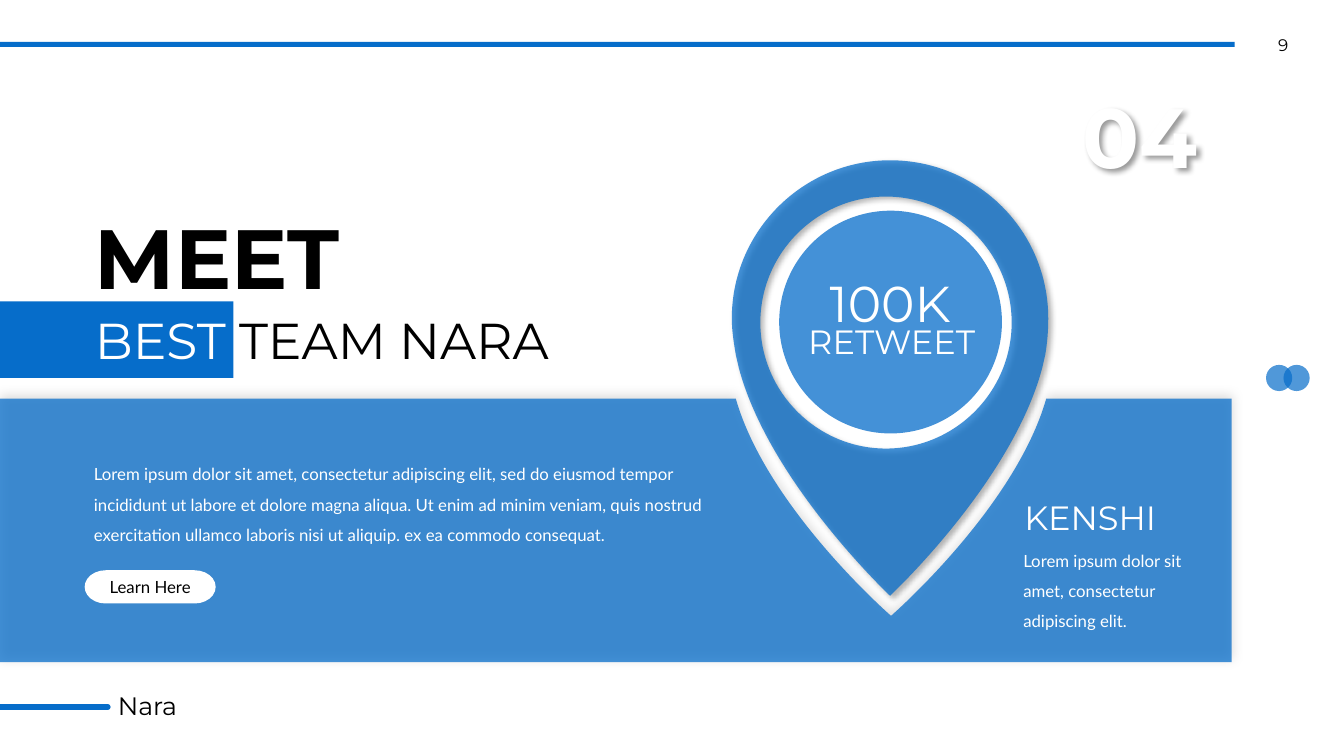
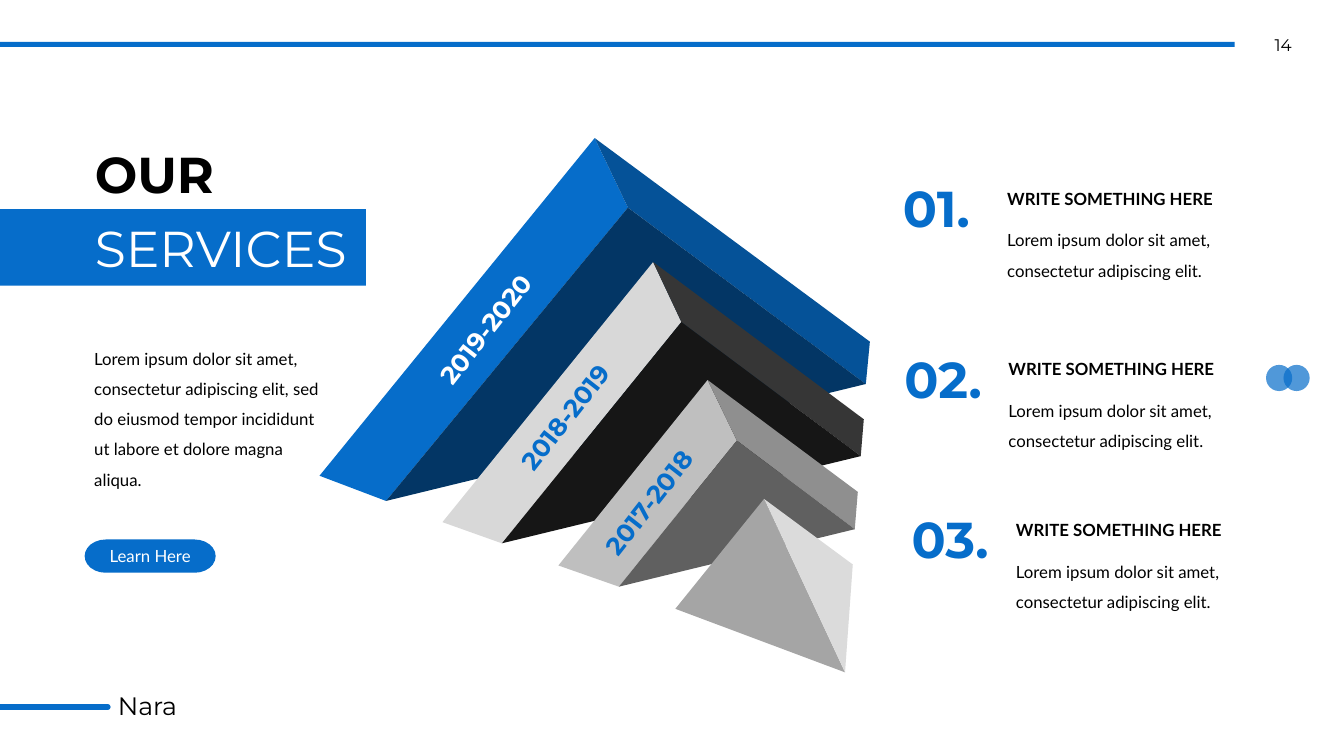
from lxml.etree import SubElement
from pptx import Presentation
from pptx.dml.color import RGBColor
from pptx.enum.shapes import MSO_CONNECTOR, MSO_SHAPE
from pptx.enum.text import MSO_ANCHOR, MSO_AUTO_SIZE, PP_ALIGN
from pptx.oxml.ns import qn
from pptx.util import Inches, Pt

BLUE = RGBColor(0x06, 0x6D, 0xCA)
MID_BLUE = RGBColor(0x05, 0x52, 0x98)
DARK_BLUE = RGBColor(0x03, 0x36, 0x65)
BLACK = RGBColor(0x00, 0x00, 0x00)
WHITE = RGBColor(0xFF, 0xFF, 0xFF)
COAL = RGBColor(0x16, 0x16, 0x16)
CHARCOAL = RGBColor(0x36, 0x36, 0x36)
DARK_GRAY = RGBColor(0x60, 0x60, 0x60)
GRAY = RGBColor(0x8F, 0x8F, 0x8F)
MID_GRAY = RGBColor(0xA5, 0xA5, 0xA5)
SILVER = RGBColor(0xBF, 0xBF, 0xBF)
LIGHT_GRAY = RGBColor(0xD8, 0xD8, 0xD8)
PALE_GRAY = RGBColor(0xDB, 0xDB, 0xDB)
HEADING_FONT, BODY_FONT = "Montserrat", "Lato"

# Shadows: opacity in percent, blur and distance in points, direction in degrees
SOFT_SHADOW = (19, 8, 3, 270)
DROP_SHADOW = (40, 4, 3, 45)

presentation = Presentation()
presentation.slide_width, presentation.slide_height = Inches(13.333), Inches(7.5)
# All positions and sizes are counted on a grid of 40 columns and 30 rows
COLUMN = presentation.slide_width / 40
ROW = presentation.slide_height / 30
GRID = (COLUMN, ROW, COLUMN, ROW)


def paint(shape, color, opacity=100, shadow=None):
    """Give a shape a plain fill (none if color is None), no line and an optional shadow."""
    shape.line.fill.background()
    shape.shadow.inherit = False
    if color is None:
        shape.fill.background()
    else:
        shape.fill.solid()
        shape.fill.fore_color.rgb = color
    properties = shape._element.spPr
    if opacity < 100:
        fill_color = properties.find(qn("a:solidFill"))[0]
        SubElement(fill_color, qn("a:alpha"), val=str(opacity * 1000))
    if shadow:
        strength, blur, distance, direction = shadow
        outer = SubElement(
            properties.find(qn("a:effectLst")), qn("a:outerShdw"),
            blurRad=str(Pt(blur)), dist=str(Pt(distance)),
            dir=str(direction * 60000), algn="ctr", rotWithShape="0")
        shadow_color = SubElement(outer, qn("a:srgbClr"), val=str(BLACK))
        SubElement(shadow_color, qn("a:alpha"), val=str(strength * 1000))


def add_text(slide, text, box, size, color, font=HEADING_FONT, bold=False,
             align=PP_ALIGN.LEFT, spacing=None):
    shape = slide.shapes.add_textbox(*(round(n * unit) for n, unit in zip(box, GRID)))
    shape.text_frame.word_wrap = True
    paragraph = shape.text_frame.paragraphs[0]
    paragraph.text = text
    paragraph.alignment = align
    paragraph.line_spacing = spacing
    paragraph.font.name, paragraph.font.size = font, Pt(size)
    paragraph.font.bold, paragraph.font.color.rgb = bold, color
    return shape


# Shared layout: the fixed parts are drawn on the first slide, then moved to the layout
layout = presentation.slide_layouts[5]
for placeholder in list(layout.placeholders):
    if placeholder.placeholder_format.idx != 0:
        placeholder._element.getparent().remove(placeholder._element)

meet = presentation.slides.add_slide(layout)
fixed_parts = []
for kind, box, opacity in [
    (MSO_SHAPE.OVAL, (37.68, 14.48, 0.78, 1.04), 70),
    (MSO_SHAPE.OVAL, (38.2, 14.48, 0.78, 1.04), 70),
    (MSO_SHAPE.RECTANGLE, (0, 1.66, 36.75, 0.2), 100),
]:
    shape = meet.shapes.add_shape(kind, *(round(n * unit) for n, unit in zip(box, GRID)))
    paint(shape, BLUE, opacity)
    fixed_parts.append(shape)
footer_y = round(28.06 * ROW)
footer_line = meet.shapes.add_connector(
    MSO_CONNECTOR.STRAIGHT, 0, footer_y, round(3.21 * COLUMN), footer_y)
footer_line.line.color.rgb = BLUE
footer_line.line.width = Pt(4)
footer_line.line._get_or_add_ln().set("cap", "rnd")
SubElement(footer_line._element.spPr, qn("a:effectLst"))
fixed_parts += [footer_line, add_text(meet, "Nara", (3.21, 27.19, 5, 1.6), 18, BLACK)]
for shape in fixed_parts:
    layout.shapes._spTree.append(shape._element)
services = presentation.slides.add_slide(layout)

# Outlines are lists of segments: one point is a line, three points are a curve.
# Map pin with a round hole, above a panel notched to its tail
hole = [((26.37, 7.8),)]
for (ax, ay), (bx, by) in [((0, -1), (-1, 0)), ((-1, 0), (0, 1)),
                           ((0, 1), (1, 0)), ((1, 0), (0, -1))]:
    hole.append(tuple((26.37 + 3.74 * x, 12.8 + 5 * y) for x, y in [
        (ax + 0.55 * bx, ay + 0.55 * by), (bx + 0.55 * ax, by + 0.55 * ay), (bx, by)]))
tip, notch_tip = (26.49, 23.64), (26.52, 24.44)
pin = [((26.49, 6.36),),
       ((29.1, 6.36), (31.2, 9.16), (31.2, 12.64)),
       ((31.2, 13.12), (31.17, 13.6), (31.11, 14.08)),
       ((31.02, 14.6),),
       ((30.12, 19.12), tip, tip),
       (tip, (22.89, 19.12), (21.99, 14.6)),
       ((21.9, 14.08),),
       ((21.84, 13.6), (21.78, 13.12), (21.78, 12.64)),
       ((21.78, 9.16), (23.91, 6.36), (26.49, 6.36))]
panel = [((0, 15.82),), ((21.9, 15.82),),
         ((22.83, 20.16), notch_tip, notch_tip),
         (notch_tip, (30.21, 20.16), (31.14, 15.82)),
         ((36.66, 15.82),), ((36.66, 26.28),), ((0, 26.28),)]
outlines = [(meet, [panel], BLUE, 75, SOFT_SHADOW),
            (meet, [hole, pin], BLUE, 75, DROP_SHADOW)]

# Nested folded arrows, each with a front, a top and an inner face, and a pyramid
faces = []
for foot, apex, fold, heel, far, under, front, top, inside in [
    ((9.51, 18.88), (17.7, 5.48), (18.69, 8.24), (11.49, 19.88), (25.89, 13.56),
     (25.77, 15.24), BLUE, MID_BLUE, DARK_BLUE),
    ((13.17, 20.72), (19.44, 10.4), (20.28, 12.78), (14.94, 21.56), (25.71, 16.64),
     (25.62, 18.1), LIGHT_GRAY, CHARCOAL, COAL),
    ((16.62, 22.44), (21.06, 15.08), (21.93, 17.48), (18.42, 23.28), (25.53, 19.52),
     (25.44, 21), SILVER, GRAY, DARK_GRAY),
]:
    faces += [([foot, apex, fold, heel], front), ([apex, far, under, fold], top),
              ([heel, fold, under], inside)]
peak, base = (22.74, 19.8), (25.15, 26.68)
faces += [([peak, (20.1, 24.16), base], MID_GRAY), ([peak, base, (25.38, 22.4)], PALE_GRAY)]
outlines += [(services, [[(corner,) for corner in corners]], color, 100, None)
             for corners, color in faces]

for slide, contours, color, opacity, shadow in outlines:
    builder = None
    for contour in contours:
        points = [(round(x * COLUMN), round(y * ROW)) for segment in contour for x, y in segment]
        if builder is None:
            builder = slide.shapes.build_freeform(*points[0])
        else:
            builder.move_to(*points[0])
        builder.add_line_segments(points[1:], close=True)
    shape = builder.convert_to_shape()
    paint(shape, color, opacity, shadow)
    geometry = shape._element.spPr.find(".//" + qn("a:path"))
    commands = iter(list(geometry))
    for contour in contours:
        for segment in contour:
            steps = [next(commands) for _ in segment]
            if len(steps) == 3:
                curve = geometry.makeelement(qn("a:cubicBezTo"))
                steps[0].addprevious(curve)
                for step in steps:
                    curve.append(step[0])
                    geometry.remove(step)
        next(commands)  # the closing command

# Page number, title with its band, and button of each slide
for slide, number, band, title_box, gap, first_line, first_size, second_line, button_y, colors in [
    (meet, "9", (0, 11.96, 6.95, 3.04), (2.52, 7.96, 15.69, 6.96), 2,
     "MEET", 60, [("BEST ", WHITE), ("TEAM NARA", BLACK)], 22.63, (WHITE, BLACK)),
    (services, "14", (0, 8.3, 10.89, 3.04), (2.52, 5.48, 9.48, 5.76), 9.5,
     "OUR", 36, [("SERVICES", WHITE)], 21.41, (BLUE, WHITE)),
]:
    page_number = add_text(slide, number, (37.17, 1.37, 2.04, 0.8), 12, BLACK,
                           align=PP_ALIGN.CENTER)
    page_number.text_frame.margin_top = page_number.text_frame.margin_bottom = 0

    shape = slide.shapes.add_shape(
        MSO_SHAPE.RECTANGLE, *(round(n * unit) for n, unit in zip(band, GRID)))
    paint(shape, BLUE)

    title = slide.shapes.title
    slide.shapes._spTree.append(title._element)  # in front of the band
    title.left, title.top, title.width, title.height = (
        round(n * unit) for n, unit in zip(title_box, GRID))
    frame = title.text_frame
    frame.word_wrap, frame.auto_size = True, MSO_AUTO_SIZE.NONE
    frame.vertical_anchor = MSO_ANCHOR.TOP
    lines = [(frame.paragraphs[0], [(first_line, BLACK)], first_size, True, 0),
             (frame.add_paragraph(), second_line, 36, False, gap)]
    for paragraph, runs, size, bold, space in lines:
        paragraph.alignment = PP_ALIGN.LEFT
        paragraph.space_before = Pt(space)
        paragraph.font.name, paragraph.font.size = HEADING_FONT, Pt(size)
        paragraph.font.bold = bold
        for text, color in runs:
            run = paragraph.add_run()
            run.text = text
            run.font.color.rgb = color

    fill, ink = colors
    button = slide.shapes.add_shape(
        MSO_SHAPE.FLOWCHART_TERMINATOR,
        *(round(n * unit) for n, unit in zip((2.52, button_y, 3.9, 1.32), GRID)))
    paint(button, fill)
    button.text_frame.vertical_anchor = MSO_ANCHOR.MIDDLE
    paragraph = button.text_frame.paragraphs[0]
    paragraph.text = "Learn Here"
    paragraph.alignment = PP_ALIGN.CENTER
    paragraph.font.name, paragraph.font.size = BODY_FONT, Pt(12)
    paragraph.font.color.rgb = ink

# Texts of the team slide
disc = meet.shapes.add_shape(
    MSO_SHAPE.OVAL, *(round(n * unit) for n, unit in zip((23.19, 8.36, 6.63, 8.84), GRID)))
paint(disc, BLUE, 75)
add_text(meet, "Lorem ipsum dolor sit amet, consectetur adipiscing elit, sed do eiusmod tempor "
         "incididunt ut labore et dolore magna aliqua. Ut enim ad minim veniam, quis nostrud "
         "exercitation ullamco laboris nisi ut aliquip. ex ea commodo consequat.",
         (2.5, 17.82, 18.81, 3.88), 12, WHITE, BODY_FONT, spacing=1.5)
SHORT_TEXT = "Lorem ipsum dolor sit amet, consectetur adipiscing elit."
add_text(meet, SHORT_TEXT, (30.16, 21.24, 6.51, 3.88), 12, WHITE, BODY_FONT, spacing=1.5)
add_text(meet, "KENSHI", (30.19, 19.52, 6.48, 2), 24, WHITE)
add_text(meet, "100K", (23.25, 10.6, 6.48, 2.84), 36, WHITE, align=PP_ALIGN.CENTER)
add_text(meet, "RETWEET", (23.3, 12.52, 6.48, 2), 24, WHITE, align=PP_ALIGN.CENTER)
section_number = add_text(meet, "04", (31.2, 3.16, 5.46, 4.44), 60, WHITE, bold=True,
                          align=PP_ALIGN.CENTER)
paint(section_number, None, shadow=DROP_SHADOW)

# Texts of the services slide
for years, box, color in [
    ("2019-2020", (12.03, 11.68, 5.55, 1.72), WHITE),
    ("2018-2019", (14.52, 15.32, 5.1, 1.68), BLUE),
    ("2017-2018", (17.04, 18.72, 5.04, 1.68), BLUE),
]:
    add_text(services, years, box, 18, color, bold=True).rotation = 308.1
add_text(services, "Lorem ipsum dolor sit amet, consectetur adipiscing elit, sed do eiusmod "
         "tempor incididunt ut labore et dolore magna aliqua.",
         (2.51, 13.23, 7.68, 6.32), 12, BLACK, BODY_FONT, spacing=1.5)
for number, x, y in [("01.", 26.58, 6.84), ("02.", 26.62, 13.6), ("03.", 26.84, 19.98)]:
    text_x = x + 3.1
    add_text(services, number, (x, y, 3.12, 2.84), 36, BLUE, bold=True)
    add_text(services, "WRITE SOMETHING HERE", (text_x, y + 0.04, 7.02, 1.44), 12, BLACK,
             BODY_FONT, bold=True, spacing=1.5)
    add_text(services, SHORT_TEXT, (text_x, y + 1.7, 7.02, 2.68), 12, BLACK, BODY_FONT,
             spacing=1.5)

presentation.save("out.pptx")
